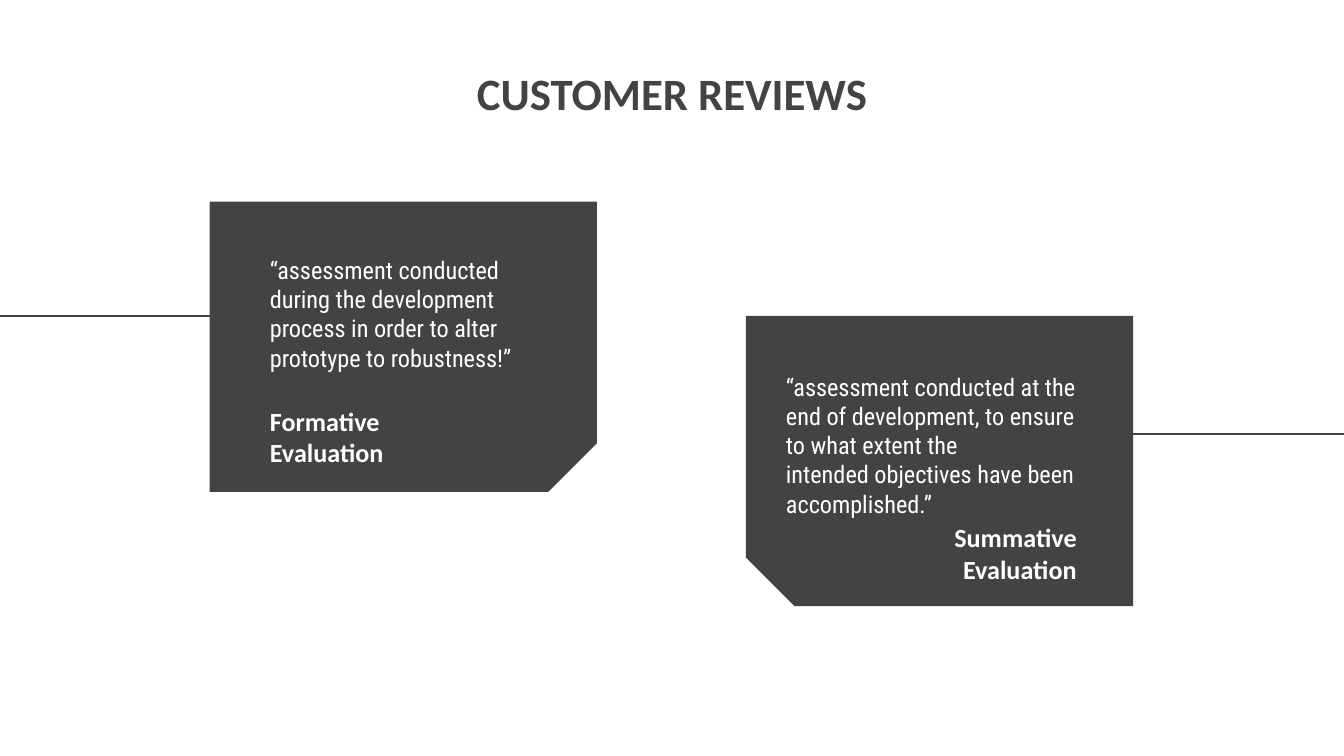
from lxml.etree import SubElement
from pptx import Presentation
from pptx.dml.color import RGBColor
from pptx.enum.shapes import MSO_CONNECTOR as Connector, MSO_SHAPE as Shape
from pptx.enum.text import MSO_ANCHOR as Anchor, PP_ALIGN as Align
from pptx.oxml.ns import qn
from pptx.util import Inches, Pt

CHARCOAL = RGBColor(0x43, 0x43, 0x43)
WHITE = RGBColor(0xFF, 0xFF, 0xFF)
HEADING_FONT = "Calibri"
QUOTE_FONT = "Roboto Condensed"
SLIDE_WIDTH = 10
SLIDE_HEIGHT = SLIDE_WIDTH * 9 / 16
CARD_SHORT, CARD_LONG = 2.16, 2.88


class ReviewSlide:
    def __init__(self, deck):
        self.slide = deck.slides.add_slide(deck.slide_layouts[6])

    def card(self, left, top, rotation, mirrored=False):
        """Card with one snipped corner, placed by its unrotated frame."""
        card = self.slide.shapes.add_shape(
            Shape.SNIP_1_RECTANGLE, Inches(left), Inches(top),
            Inches(CARD_SHORT), Inches(CARD_LONG))
        card.adjustments[0] = 0.167
        card.rotation = rotation
        if mirrored:
            card._element.spPr.find(qn("a:xfrm")).set("flipH", "1")
        card.fill.solid()
        card.fill.fore_color.rgb = CHARCOAL
        card.line.fill.background()
        card.shadow.inherit = False

    def rule(self, start, end, y):
        rule = self.slide.shapes.add_connector(
            Connector.STRAIGHT, Inches(start), Inches(y), Inches(end), Inches(y))
        rule.line.color.rgb = CHARCOAL
        rule.line.width = Pt(0.75)
        SubElement(rule._element.spPr, qn("a:effectLst"))

    def text(self, box, paragraphs, size, font, color=WHITE, bold=False,
             align=Align.LEFT, anchor=Anchor.TOP):
        """Text box; a newline inside a paragraph becomes a line break."""
        frame = self.slide.shapes.add_textbox(*map(Inches, box)).text_frame
        frame.word_wrap = True
        frame.vertical_anchor = anchor
        frame.margin_left = frame.margin_right = Inches(0.1)
        frame.margin_top = frame.margin_bottom = Inches(0.1)
        for index, wording in enumerate(paragraphs):
            paragraph = frame.add_paragraph() if index else frame.paragraphs[0]
            paragraph.alignment = align
            for line_number, line in enumerate(wording.split("\n")):
                if line_number:
                    paragraph.add_line_break()
                run = paragraph.add_run()
                run.text = line
                run.font.size = Pt(size)
                run.font.name = font
                run.font.bold = bold
                run.font.color.rgb = color

    def quote(self, box, paragraphs):
        self.text(box, paragraphs, 13, QUOTE_FONT)

    def reviewer(self, box, name, align):
        self.text(box, [name], 14, HEADING_FONT, bold=True, align=align,
                  anchor=Anchor.BOTTOM)


def main():
    deck = Presentation()
    deck.slide_width = Inches(SLIDE_WIDTH)
    deck.slide_height = Inches(SLIDE_HEIGHT)
    reviews = ReviewSlide(deck)

    reviews.card(5.91, 1.99, 270, mirrored=True)
    reviews.rule(SLIDE_WIDTH, 7.31, 3.23)

    reviews.text((2.15, 0.39, 5.7, 1.03), ["CUSTOMER REVIEWS"], 24, HEADING_FONT,
                 CHARCOAL, bold=True, align=Align.CENTER)

    reviews.card(1.92, 1.14, 90)
    reviews.rule(2.65, 0, 2.35)
    reviews.reviewer((1.91, 3.11, 1.38, 0.47), "Formative\nEvaluation", Align.LEFT)
    reviews.quote((1.91, 1.8, 2.33, 1.1), [
        "“assessment conducted during the development process "
        "in order to alter prototype to robustness!”"])

    reviews.reviewer((6.16, 3.98, 1.95, 0.47), "Summative Evaluation", Align.RIGHT)
    reviews.quote((5.75, 2.67, 2.36, 1.1), [
        "“assessment conducted at the end of development, "
        "to ensure to what extent the",
        "intended objectives have been accomplished.”"])

    deck.save("out.pptx")


if __name__ == "__main__":
    main()
